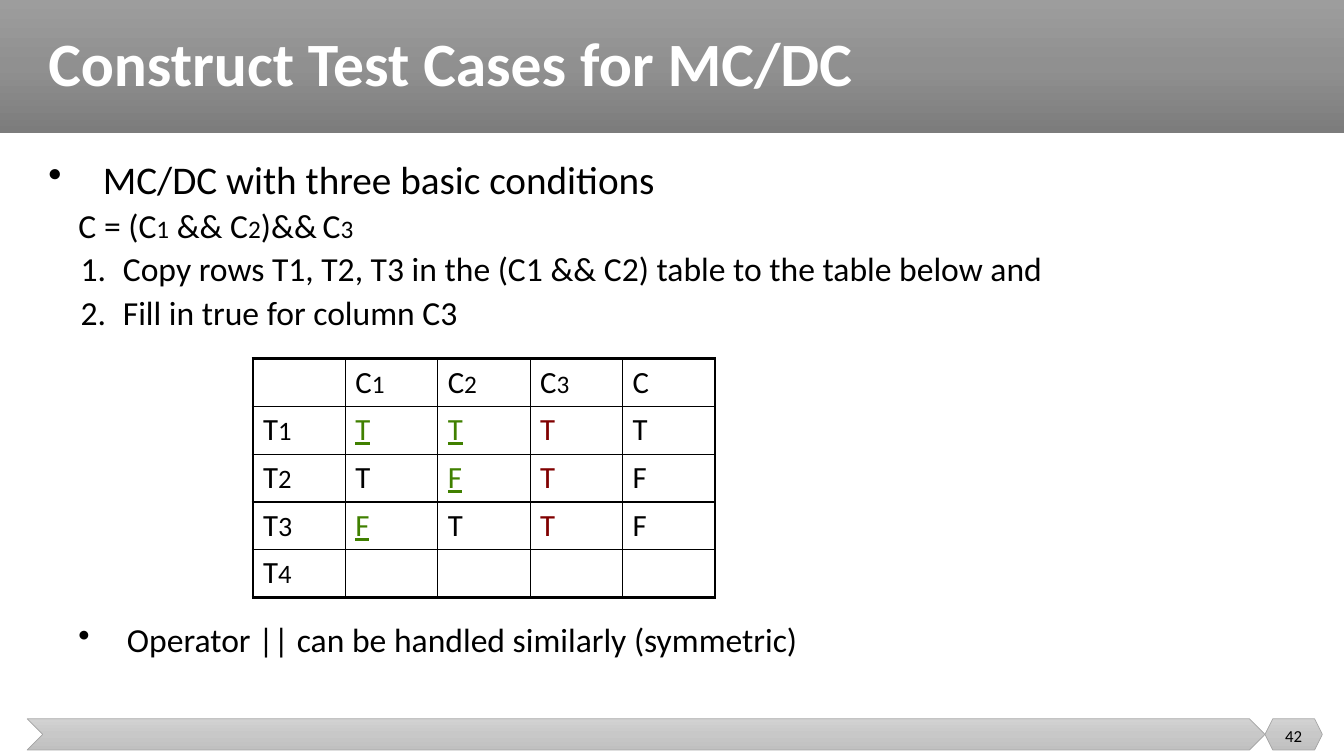
from copy import deepcopy

from lxml import etree
from pptx import Presentation
from pptx.dml.color import RGBColor
from pptx.enum.shapes import MSO_SHAPE
from pptx.enum.text import MSO_ANCHOR, PP_ALIGN
from pptx.oxml.ns import qn
from pptx.util import Pt

RECT, CHEVRON, HEXAGON = MSO_SHAPE.RECTANGLE, MSO_SHAPE.CHEVRON, MSO_SHAPE.HEXAGON
TOP, MIDDLE = MSO_ANCHOR.TOP, MSO_ANCHOR.MIDDLE
LEFT, CENTER = PP_ALIGN.LEFT, PP_ALIGN.CENTER
BLACK, WHITE, GREEN, RED = "000000", "FFFFFF", "408000", "800000"


def rgb(value):
    return RGBColor.from_string(value)


def add_runs(p, runs, color=BLACK, **fmt):
    for text, size in runs:
        r = p.add_run()
        r.text = text
        r.font.color.rgb = rgb(color)
        for name, value in {"name": "Calibri", "size": Pt(size), **fmt}.items():
            setattr(r.font, name, value)


prs = Presentation()
prs.slide_width, prs.slide_height = Pt(960), Pt(540)
s = prs.slides.add_slide(prs.slide_layouts[6])

# Title band and footer bar
BAND = ("9D9D9D", "909090", "7C7C7C")
FOOTER = ("D2D2D2", "C8C8C8", "C0C0C0")
for kind, box, colors in [
    (RECT, (0, 0, 960, 95), BAND),
    (CHEVRON, (19.4, 513.4, 884.2, 22.3), FOOTER),
    (HEXAGON, (903.6, 513.4, 41, 22.3), FOOTER),
]:
    sp = s.shapes.add_shape(kind, *map(Pt, box))
    sp.shadow.inherit = False
    sp.fill.gradient()
    sp.fill.gradient_angle = 270
    stops = sp._element.spPr.find(qn("a:gradFill")).find(qn("a:gsLst"))
    stops.insert(1, deepcopy(stops[0]))
    for stop, position, color in zip(sp.fill.gradient_stops, (0, 0.5, 1), colors):
        stop.position = position
        stop.color.rgb = rgb(color)
    if kind == RECT:
        sp.line.fill.background()
    else:
        sp.line.color.rgb = rgb("A5A5A5")
        sp.line.width = Pt(0.5)

# Text boxes: paragraphs hold runs, left margin, first-line indent and bullet
DOT = ("a:buChar", {"char": "•"})
NUMBER = ("a:buAutoNum", {"type": "arabicPeriod"})
title = [([("Construct Test Cases for MC/DC", 44)], 0, 0, None)]
steps = [
    ([("MC/DC with three basic conditions", 28)], 39, -39, DOT),
    ([("C = (C", 24), ("1", 18), (" && C", 24), ("2", 18), (")&&", 24),
      (" ", 18), ("C", 24), ("3", 18)], 21.6, 0, None),
    ([("Copy rows T1, T2, T3 in the (C1 && C2) table to the table below and", 24)],
     53.3, -30.2, NUMBER),
    ([("Fill in true for column C3", 24)], 53.3, -30.2, NUMBER),
]
closing = [([("Operator || can be handled similarly (symmetric)", 24)], 56.2, -34.6, DOT)]
page = [([("42", 12)], 0, 0, None)]

for box, paragraphs, anchor, align, spacing, fmt in [
    ((27.4, 0, 917, 95), title, MIDDLE, LEFT, 0.9, {"color": WHITE, "bold": True}),
    ((27.4, 110.9, 917, 140), steps, TOP, LEFT, 0.9, {}),
    ((27.4, 442, 917, 40), closing, TOP, LEFT, 0.9, {}),
    ((903.6, 511.2, 41, 28.8), page, MIDDLE, CENTER, 1, {}),
]:
    tf = s.shapes.add_textbox(*map(Pt, box)).text_frame
    tf.word_wrap = True
    tf.vertical_anchor = anchor
    for i, (runs, margin, indent, bullet) in enumerate(paragraphs):
        p = tf.add_paragraph() if i else tf.paragraphs[0]
        p.alignment = align
        p.line_spacing = spacing
        p.space_before = Pt(5 if i else 0)
        pPr = p._p.get_or_add_pPr()
        pPr.set("marL", str(Pt(margin)))
        pPr.set("indent", str(Pt(indent)))
        if bullet:
            tag, attributes = bullet
            etree.SubElement(pPr, qn(tag), attributes)
        add_runs(p, runs, **fmt)

# Truth table: (first letter, index size) for each row label
header = ["", "C1", "C2", "C3", "C"]
rows = [header, ["T1", "T", "T", "T", "T"], ["T2", "T", "F", "T", "F"],
        ["T3", "F", "T", "T", "F"], ["T4", "", "", "", ""]]
index_sizes = [18, 19, 19, 20, 19]
deciding = {(1, 1), (1, 2), (2, 2), (3, 1)}
last = len(rows) - 1

frame = s.shapes.add_table(5, 5, Pt(180.7), Pt(256.3), Pt(330), Pt(170.5))
table = frame.table
table.first_row = table.horz_banding = False
for column in table.columns:
    column.width = Pt(66)
for i, row in enumerate(rows):
    table.rows[i].height = Pt(34.1)
    for j, text in enumerate(row):
        cell = table.cell(i, j)
        tcPr = cell._tc.get_or_add_tcPr()
        edges = {"L": j == 0, "R": j == last, "T": i == 0, "B": i == last}
        for side, outer in edges.items():
            ln = etree.SubElement(tcPr, qn("a:ln" + side), w=str(Pt(2.25 if outer else 1)))
            fill = etree.SubElement(ln, qn("a:solidFill"))
            etree.SubElement(fill, qn("a:srgbClr"), val=BLACK)
        cell.fill.background()
        if not text:
            continue
        runs = [(text[0], 22)]
        if text[1:]:
            runs.append((text[1:], index_sizes[i]))
        marked = (i, j) in deciding
        color = GREEN if marked else RED if i and j == 3 else BLACK
        add_runs(cell.text_frame.paragraphs[0], runs, color, underline=marked)

prs.save("out.pptx")
